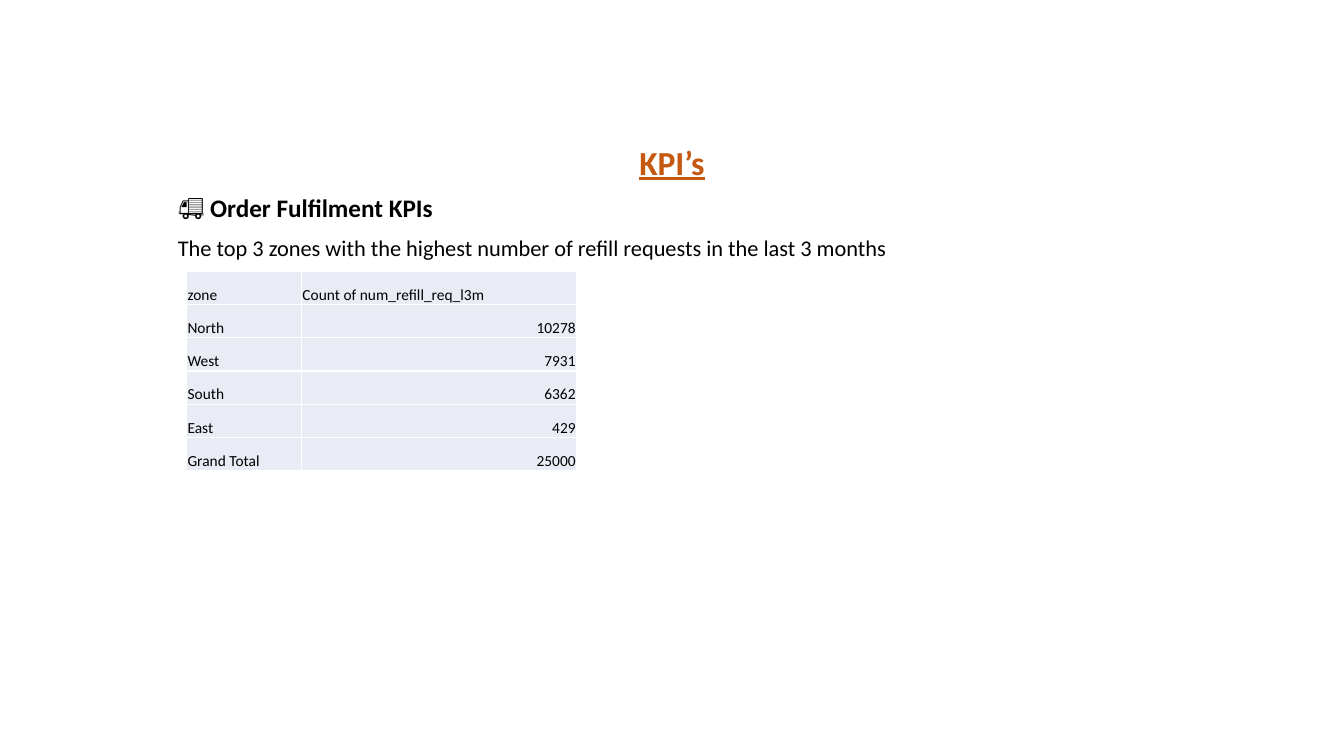
from lxml.etree import SubElement
from pptx import Presentation
from pptx.dml.color import RGBColor
from pptx.enum.text import MSO_ANCHOR, PP_ALIGN
from pptx.oxml.ns import qn
from pptx.util import Inches, Pt

# Content
TITLE = "KPI’s"
INTRO = [  # text, size, bold
    ("🚚 Order Fulfilment KPIs", 18, True),
    ("The top 3 zones with the highest number of refill requests in the last 3 months", 16, False),
]
ZONE_ROWS = [
    ("zone", "Count of num_refill_req_l3m"),
    ("North", 10278),
    ("West", 7931),
    ("South", 6362),
    ("East", 429),
    ("Grand Total", 25000),
]

# Look and layout
FONT = "Calibri"
ORANGE, BLACK, WHITE, PALE_BLUE = "C55911", "000000", "FFFFFF", "E9EBF5"
WIDTH, HEIGHT = 13.33, 7.5
TEXT_WIDTH = WIDTH * 0.75
TEXT_LEFT = (WIDTH - TEXT_WIDTH) / 2
TITLE_TOP, TITLE_HEIGHT = 1.41, 0.45
INTRO_TOP, INTRO_HEIGHT = 1.89, 3.86
TABLE_LEFT, TABLE_TOP = 1.85, 2.69
COLUMN_WIDTHS, ROW_HEIGHT = (1.14, 2.73), 0.33


def color(value):
    return RGBColor.from_string(value)


def style(para, size, shade=BLACK, bold=False, underline=False):
    for span in para.runs:
        font = span.font
        font.name, font.size = FONT, Pt(size)
        font.bold, font.underline = bold, underline
        font.color.rgb = color(shade)


def add_text_box(page, top, height, text):
    box = page.shapes.add_textbox(
        Inches(TEXT_LEFT), Inches(top), Inches(TEXT_WIDTH), Inches(height))
    box.text_frame.word_wrap = True
    box.text_frame.text = text
    for para in box.text_frame.paragraphs:
        para.line_spacing = 0.9
    return box.text_frame


def add_borders(cell):
    properties = cell._tc.get_or_add_tcPr()
    for position, side in enumerate(("a:lnL", "a:lnR", "a:lnT", "a:lnB")):
        line = SubElement(properties, qn(side), w=str(Pt(1)))
        fill = SubElement(line, qn("a:solidFill"))
        SubElement(fill, qn("a:srgbClr"), val=WHITE)
        properties.insert(position, line)


def fill_cell(cell, value):
    cell.text = str(value)
    cell.vertical_anchor = MSO_ANCHOR.BOTTOM
    cell.margin_left = cell.margin_right = cell.margin_top = Inches(0.01)
    cell.margin_bottom = 0
    cell.fill.solid()
    cell.fill.fore_color.rgb = color(PALE_BLUE)
    para = cell.text_frame.paragraphs[0]
    para.alignment = PP_ALIGN.RIGHT if isinstance(value, int) else PP_ALIGN.LEFT
    style(para, 11)
    add_borders(cell)


def main():
    deck = Presentation()
    deck.slide_width, deck.slide_height = Inches(WIDTH), Inches(HEIGHT)
    page = deck.slides.add_slide(deck.slide_layouts[6])

    # Title
    title = add_text_box(page, TITLE_TOP, TITLE_HEIGHT, TITLE)
    title.vertical_anchor = MSO_ANCHOR.BOTTOM
    title.paragraphs[0].alignment = PP_ALIGN.CENTER
    style(title.paragraphs[0], 24, ORANGE, bold=True, underline=True)

    # Heading and question
    intro = add_text_box(page, INTRO_TOP, INTRO_HEIGHT,
                         "\n".join(text for text, _, _ in INTRO))
    for para, (_, size, bold) in zip(intro.paragraphs, INTRO):
        para.space_before = Pt(10)
        style(para, size, bold=bold)

    # Requests by zone
    table = page.shapes.add_table(
        len(ZONE_ROWS), len(COLUMN_WIDTHS), Inches(TABLE_LEFT), Inches(TABLE_TOP),
        Inches(sum(COLUMN_WIDTHS)), Inches(ROW_HEIGHT * len(ZONE_ROWS))).table
    table.first_row = table.horz_banding = False
    for column, width in zip(table.columns, COLUMN_WIDTHS):
        column.width = Inches(width)
    for row, values in zip(table.rows, ZONE_ROWS):
        row.height = Inches(ROW_HEIGHT)
        for cell, value in zip(row.cells, values):
            fill_cell(cell, value)

    deck.save("out.pptx")


if __name__ == "__main__":
    main()
